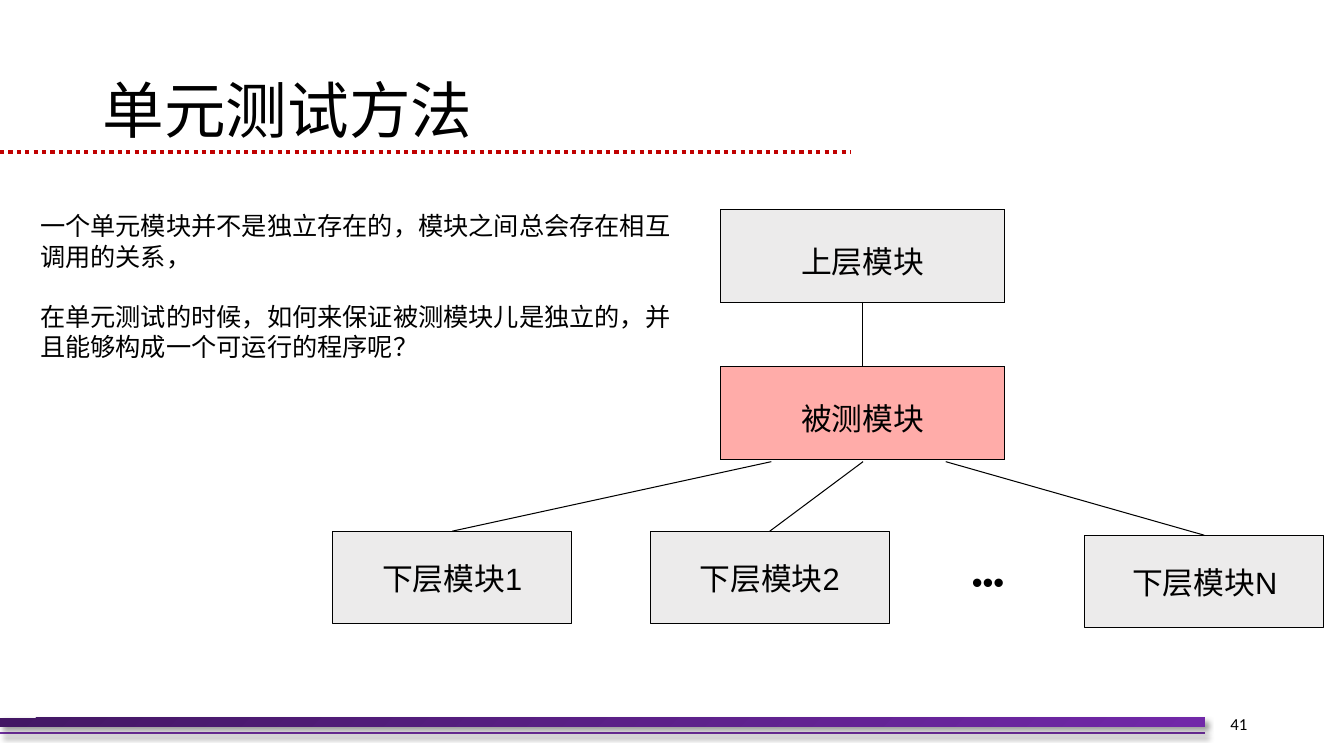
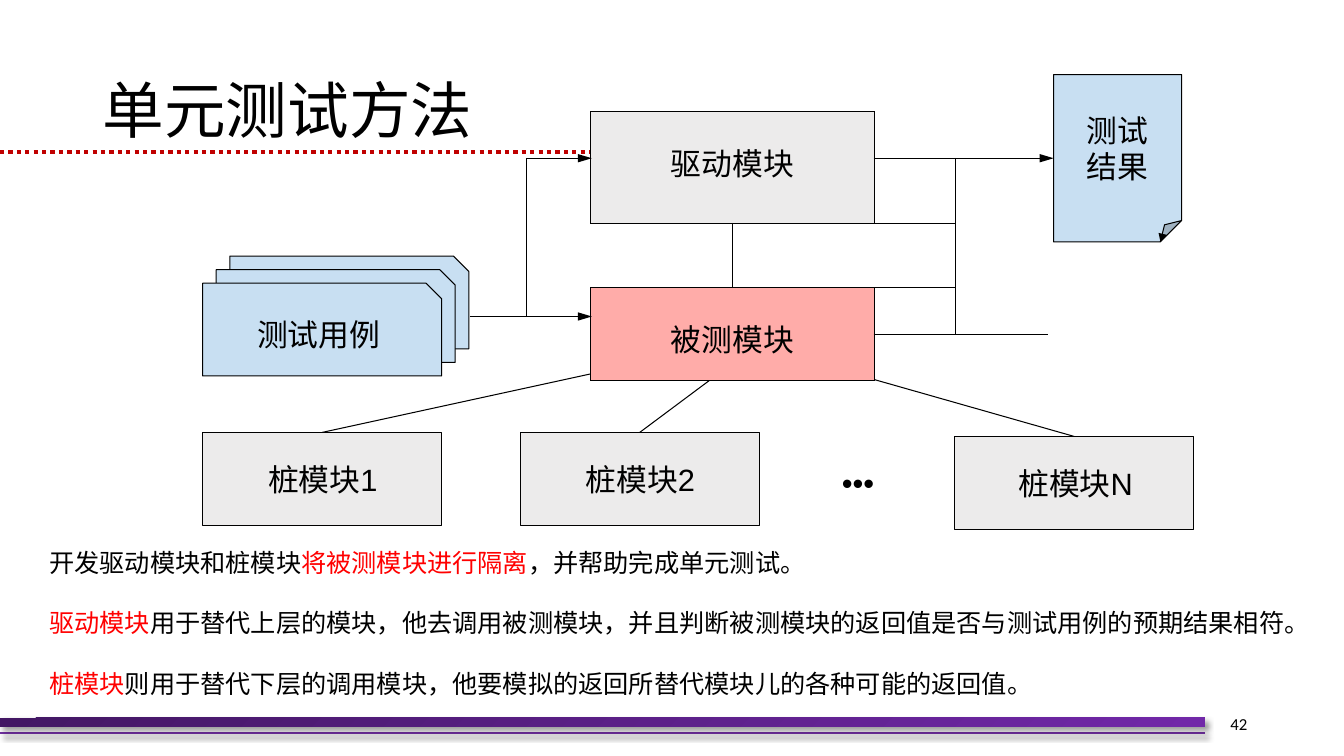
from lxml import etree
from pptx import Presentation
from pptx.dml.color import RGBColor
from pptx.enum.dml import MSO_LINE
from pptx.enum.shapes import MSO_CONNECTOR, MSO_SHAPE
from pptx.enum.text import MSO_ANCHOR, PP_ALIGN
from pptx.oxml.ns import qn
from pptx.util import Inches, Pt

STRAIGHT = MSO_CONNECTOR.STRAIGHT
RECTANGLE = MSO_SHAPE.RECTANGLE
CARD = MSO_SHAPE.SNIP_1_RECTANGLE
SHEET = MSO_SHAPE.FOLDED_CORNER
DOTTED = MSO_LINE.ROUND_DOT
LEFT, CENTER, RIGHT = PP_ALIGN.LEFT, PP_ALIGN.CENTER, PP_ALIGN.RIGHT
TOP, MIDDLE = MSO_ANCHOR.TOP, MSO_ANCHOR.MIDDLE

COLUMNS, ROWS = 133.3, 75
CHINESE, LATIN, NUMERIC = "Noto Sans CJK SC", "Arial", "Calibri"
BLACK, RED, GRAY, PINK, BLUE = "000000", "FF0000", "ECEBEB", "FFACA9", "C8DFF2"
PURPLE, DARK_PURPLE, LIGHT_PURPLE, RULE_RED = "7030A0", "431764", "7128A8", "C00000"
NO_TABLE_STYLE = "{2D5ABB26-0587-4C30-8999-92F81FD0307C}"
SIDES = {"L": "a:lnL", "R": "a:lnR", "T": "a:lnT", "B": "a:lnB"}
THIN = 0.75
PADDING = (1, 0.5, 1, 0.5)
MODULE_WIDTH, MODULE_HEIGHT, MODULE_INSET = 23.7, 9.2, 2.8


def grid(units):
    return Inches(units / 10)


def color(code):
    return RGBColor.from_string(code)


def add_node(parent, tag, **attributes):
    return etree.SubElement(parent, qn(tag), attributes)


def write(frame, paragraphs, *, size=22, font=CHINESE, ink=BLACK, align=LEFT,
          spacing=None, before=0):
    for index, spans in enumerate(paragraphs):
        para = frame.add_paragraph() if index else frame.paragraphs[0]
        para.alignment = align
        if spacing:
            para.line_spacing = spacing
        if index and before:
            para.space_before = Pt(before)
        for text, changes in spans:
            style = {"font": font, "ink": ink, **changes}
            span = para.add_run()
            span.text = text
            span.font.size = Pt(size)
            span.font.color.rgb = color(style["ink"])
            span.font.name = style["font"]
            add_node(span.font._element, "a:ea", typeface=style["font"])


def plain(text):
    return [(text, {})]


class SlideWriter:
    def __init__(self):
        self.deck = Presentation()
        self.deck.slide_width = grid(COLUMNS)
        self.deck.slide_height = grid(ROWS)
        self.page = None

    def start(self, title, number):
        self.page = self.deck.slides.add_slide(self.deck.slide_layouts[6])
        self.line((0, 72.7), (119.5, 72.7), ink=PURPLE, width=1.5, shadow=True)
        band = self.shape(RECTANGLE, 0, 71.2, 119.5, 0.9, outlined=False, shadow=True)
        band.fill.gradient()
        band.fill.gradient_angle = 315
        for stop, code in zip(band.fill.gradient_stops, (DARK_PURPLE, LIGHT_PURPLE)):
            stop.color.rgb = color(code)
        self.line((0, 15.1), (84.4, 15.1), ink=RULE_RED, width=3, dash=DOTTED)
        self.text(113.8, 69.8, 10.9, 4, [plain(number)], anchor=MIDDLE,
                  size=12, font=NUMERIC, align=RIGHT)
        self.text(9.2, 4, 115, 14.5, [plain(title)], anchor=MIDDLE,
                  size=44, spacing=0.9)

    def prepare(self, frame, padding, anchor):
        frame.word_wrap = True
        frame.vertical_anchor = anchor
        (frame.margin_left, frame.margin_top,
         frame.margin_right, frame.margin_bottom) = map(grid, padding)

    def text(self, left, top, width, height, paragraphs, *, padding=PADDING,
             anchor=TOP, **style):
        box = self.page.shapes.add_textbox(*map(grid, (left, top, width, height)))
        self.prepare(box.text_frame, padding, anchor)
        write(box.text_frame, paragraphs, **style)

    def cast_shadow(self, effects):
        shade = add_node(effects, "a:outerShdw", blurRad=str(Pt(4)), dist=str(Pt(3)),
                         dir="2700000", algn="tl", rotWithShape="0")
        add_node(add_node(shade, "a:srgbClr", val=BLACK), "a:alpha", val="40000")

    def finish(self, shape, fill, outlined):
        shape.shadow.inherit = False
        if fill:
            shape.fill.solid()
            shape.fill.fore_color.rgb = color(fill)
        if outlined:
            shape.line.color.rgb = color(BLACK)
            shape.line.width = Pt(THIN)
        else:
            shape.line.fill.background()

    def shape(self, kind, left, top, width, height, *, fill=None, outlined=True,
              shadow=False):
        shape = self.page.shapes.add_shape(kind, *map(grid, (left, top, width, height)))
        self.finish(shape, fill, outlined)
        if shadow:
            self.cast_shadow(shape.element.spPr.find(qn("a:effectLst")))
        return shape

    def polygon(self, points, fill):
        corners = [(grid(x), grid(y)) for x, y in points]
        builder = self.page.shapes.build_freeform(*corners[0])
        builder.add_line_segments(corners[1:], close=True)
        self.finish(builder.convert_to_shape(), fill, False)

    def line(self, start, end, *, ink=BLACK, width=THIN, dash=None, arrow=False,
             shadow=False):
        line = self.page.shapes.add_connector(STRAIGHT, *map(grid, (*start, *end)))
        line.line.color.rgb = color(ink)
        line.line.width = Pt(width)
        if dash:
            line.line.dash_style = dash
        properties = line.element.spPr
        if arrow:
            add_node(properties.find(qn("a:ln")), "a:tailEnd",
                     type="triangle", w="med", len="lg")
        effects = add_node(properties, "a:effectLst")
        if shadow:
            self.cast_shadow(effects)

    def table(self, left, top, widths, heights, areas):
        holder = self.page.shapes.add_table(
            len(heights), len(widths),
            *map(grid, (left, top, sum(widths), sum(heights))))
        table = holder.table
        table.first_row = table.horz_banding = False
        for style in holder.element.iter(qn("a:tableStyleId")):
            style.text = NO_TABLE_STYLE
        for column, width in zip(table.columns, widths):
            column.width = grid(width)
        for row, height in zip(table.rows, heights):
            row.height = grid(height)
        for cell in table.iter_cells():
            cell.margin_left = cell.margin_right = 0
            cell.margin_top = cell.margin_bottom = 0
        for row, column, height, width, sides, label, fill in areas:
            origin = table.cell(row, column)
            if height * width > 1:
                origin.merge(table.cell(row + height - 1, column + width - 1))
            for y in range(row, row + height):
                for x in range(column, column + width):
                    self.border(table.cell(y, x), sides)
            if label:
                origin.margin_top = grid(MODULE_INSET)
                write(origin.text_frame, [plain(label)], align=CENTER)
            if fill:
                origin.fill.solid()
                origin.fill.fore_color.rgb = color(fill)
        for cell in table.iter_cells():
            if cell.fill.type is None:
                cell.fill.background()

    def border(self, cell, sides):
        properties = cell._tc.get_or_add_tcPr()
        for side, tag in SIDES.items():
            if side in sides:
                edge = add_node(properties, tag, w=str(Pt(THIN)))
                add_node(add_node(edge, "a:solidFill"), "a:srgbClr", val=BLACK)

    def lower_modules(self, left, top, name, indent):
        modules = (("1", 0, 0, 0), ("2", 31.5, 0, 0), ("N", 74.6, 0.4, -0.2))
        for suffix, across, down, shift in modules:
            box = self.shape(RECTANGLE, left + across, top + down,
                             MODULE_WIDTH, MODULE_HEIGHT, fill=GRAY)
            self.prepare(box.text_frame, (indent + shift, MODULE_INSET, 0, 0), TOP)
            write(box.text_frame, [[(name, {}), (suffix, {"font": LATIN})]])
        for (_, across, down, _), start in zip(modules, (43.5, 52.6, 60.8)):
            self.line((left + start, top - 6.9),
                      (left + across + MODULE_WIDTH / 2, top + down))
        self.text(left + 63.3, top + 3, 4.5, 3.9, [plain("•••")],
                  padding=(0.1, 0.1, 0, 0), font=LATIN)


def module_relations(writer):
    writer.start("单元测试方法", "41")
    writer.lower_modules(33, 52.7, "下层模块", 4.9)
    writer.table(71.5, 20.8, [14.05] * 2, [9.2, 6.4, 9.2], [
        (0, 0, 1, 2, "LRTB", "上层模块", GRAY),
        (1, 0, 1, 1, "RTB", None, None),
        (1, 1, 1, 1, "LTB", None, None),
        (2, 0, 1, 2, "LRTB", "被测模块", PINK),
    ])
    writer.text(3, 20.4, 66.8, 16.2, [
        plain("一个单元模块并不是独立存在的，模块之间总会存在相互调用的关系，"),
        plain("在单元测试的时候，如何来保证被测模块儿是独立的，并且能够构成一个可运行的程序呢？"),
    ], size=18, before=21.6)


def isolated_module(writer):
    writer.start("单元测试方法", "42")
    writer.lower_modules(20.1, 42.9, "桩模块", 6.5)
    for step in (2, 1, 0):
        writer.shape(CARD, 20.1 + 1.35 * step, 28.1 - 1.35 * step,
                     MODULE_WIDTH, MODULE_HEIGHT, fill=BLUE)
    writer.text(25.4, 31.2, 13, 3.9, [plain("测试用例")], padding=(0.1, 0.1, 0, 0))
    writer.shape(SHEET, 104.5, 7.4, 12.7, 16.6, fill=BLUE)
    writer.polygon([(114.9, 23.1), (115.1, 24), (115.7, 23.3)], BLACK)
    writer.text(107.7, 10.8, 6.4, 7.6, [plain("测试 结果")],
                padding=(0.1, 0.3, 0, 0), spacing=Pt(26))
    writer.table(58.6, 11.1, [14.05, 14.05, 8.1, 9.2], [4.6, 6.4, 6.4, 4.6, 4.6], [
        (0, 0, 2, 2, "LRTB", "驱动模块", GRAY),
        (0, 2, 1, 2, "LB", None, None),
        (1, 2, 1, 1, "LRTB", None, None),
        (1, 3, 3, 1, "LTB", None, None),
        (2, 0, 1, 1, "RTB", None, None),
        (2, 1, 1, 2, "LRTB", None, None),
        (3, 0, 2, 2, "LRTB", "被测模块", PINK),
        (3, 2, 1, 1, "LRTB", None, None),
        (4, 2, 1, 2, "LT", None, None),
    ])
    writer.line((46.6, 31.4), (58.7, 31.4), arrow=True)
    writer.line((52.2, 31.4), (52.2, 15.7))
    writer.line((52.2, 15.7), (58.7, 15.7), arrow=True)
    writer.line((94.8, 15.7), (104.5, 15.7), arrow=True)
    red = {"ink": RED}
    writer.text(3.9, 50.8, 128.3, 18.3, [
        [("开发驱动模块和桩模块", {}), ("将被测模块进行隔离", red),
         ("，并帮助完成单元测试。", {})],
        [("驱动模块", red),
         ("用于替代上层的模块，他去调用被测模块，并且判断被测模块的返回值是否与测试用例的预期结果相符。", {})],
        [("桩模块", red),
         ("则用于替代下层的调用模块，他要模拟的返回所替代模块儿的各种可能的返回值。", {})],
    ], size=18, spacing=2)


def main():
    writer = SlideWriter()
    module_relations(writer)
    isolated_module(writer)
    writer.deck.save("out.pptx")


if __name__ == "__main__":
    main()
